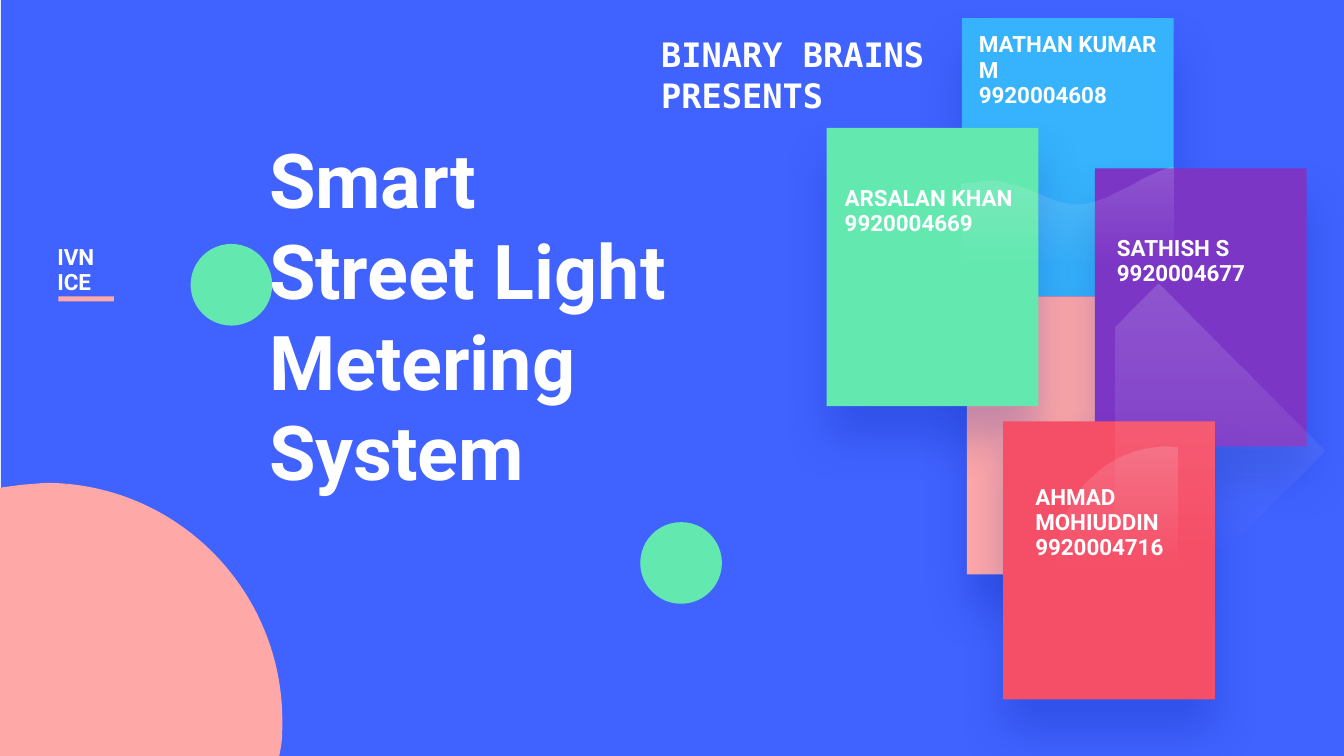
from lxml.etree import SubElement as Sub
from pptx import Presentation
from pptx.dml.color import RGBColor as RGB
from pptx.enum.shapes import MSO_SHAPE as Kind
from pptx.enum.text import MSO_AUTO_SIZE as Auto
from pptx.oxml.ns import qn
from pptx.util import Inches, Pt

BLUE = RGB(0x40, 0x62, 0xFF)
PINK = RGB(0xFF, 0xA8, 0xA8)
GREEN = RGB(0x63, 0xE8, 0xB0)
SKY = RGB(0x36, 0xB3, 0xFC)
PURPLE = RGB(0x7B, 0x36, 0xC6)
RED = RGB(0xF5, 0x4E, 0x67)
WHITE = RGB(0xFF, 0xFF, 0xFF)
PALE = RGB(0xF5, 0xF7, 0xFF)
SHADE = RGB(0x00, 0x1C, 0xA0)

# Content: all lengths in columns and rows of a tenth of an inch
COLS, ROWS = 133.3, 75
TITLE = "Smart Street Light Metering System"
TEAM = "BINARY BRAINS PRESENTS"
LABELS = [  # text, left, top, width, height
    ("IVN\nICE", 4.7, 23.8, 17.1, 6.1),
    ("SATHISH S\n9920004677", 109.8, 22.9, 19.7, 6.1),
    ("AHMAD MOHIUDDIN\n9920004716", 101.7, 47.6, 19.7, 8.6),
    ("MATHAN KUMAR M\n9920004608", 96.1, 2.7, 19.7, 8.6),
    ("ARSALAN KHAN\n9920004669", 82.8, 17.9, 19.7, 6.1),
]
CARD = (21, 27.6)
CARDS = [  # left, top, colour
    (95.4, 1.8, SKY),
    (95.9, 29.4, PINK),
    (82, 12.7, GREEN),
    (108.6, 16.7, PURPLE),
    (99.5, 41.8, RED),
]
DISC = 8.1
DISCS = [(18.9, 24.2), (63.5, 51.8)]

# Outlines: a pair is a corner, six numbers are a curve
HILL = [(4.5, 47.9), (17.5, 47.9, 28, 58.5, 28, 71.5),
        (28, 72.3, 28, 73.1, 27.9, 73.9), (27.7, 75), (-0.1, 75),
        (-0.1, 48.4), (2.1, 48.1)]
WAVE = [(116.4, 16.6), (116.4, 26.5), (95.4, 26.5), (95.4, 18.2),
        (96.4, 18.1), (97, 18, 97.5, 18, 98, 17.9),
        (102.1, 17.9, 104.2, 20.5, 107.3, 20.2),
        (110.2, 20, 113.8, 17, 116.1, 16.6)]
ARC = [(115.8, 44.3), (116.8, 44.4), (116.8, 57), (105.1, 57), (105, 56.3),
       (104.9, 56, 104.9, 55.6, 104.9, 55.2),
       (104.9, 49.2, 109.8, 44.3, 115.8, 44.3)]
PEAK = [(114.8, 28.2), (115, 28.2), (131.4, 44.7), (120.3, 55.8),
        (110.6, 55.8), (110.6, 32.4)]


def grid(*nums):
    return [Inches(n / 10) for n in nums]


deck = Presentation()
deck.slide_width, deck.slide_height = grid(COLS, ROWS)
slide = deck.slides.add_slide(deck.slide_layouts[6])
shapes = slide.shapes


def plain(shape, color=None):
    shape.shadow.inherit = False
    shape.line.fill.background()
    if color is not None:
        shape.fill.solid()
        shape.fill.fore_color.rgb = color
    return shape


def block(kind, box, color):
    return plain(shapes.add_shape(kind, *grid(*box)), color)


def write(text, box, size=16, font="Roboto", lead=None):
    frame = shapes.add_textbox(*grid(*box)).text_frame
    frame.word_wrap = True
    frame.auto_size = Auto.SHAPE_TO_FIT_TEXT
    frame.text = text
    for para in frame.paragraphs:
        if lead:
            para.line_spacing = Pt(lead)
        face = para.runs[0].font
        face.name, face.size, face.bold = font, Pt(size), True
        face.color.rgb = WHITE


def outline(route, color=None):
    dots = [grid(*part[i:i + 2]) for part in route
            for i in range(0, len(part), 2)]
    pen = shapes.build_freeform(*dots[0])
    pen.add_line_segments(dots[1:], close=True)
    shape = plain(pen.convert_to_shape(), color)
    # Join the three lines of each curve into one Bezier
    lines = iter(list(shape._element.spPr.iter(qn("a:lnTo"))))
    for part in route[1:]:
        bend = next(lines)
        if len(part) == 6:
            bend.tag = qn("a:cubicBezTo")
            for extra in (next(lines), next(lines)):
                bend.append(extra[0])
                extra.getparent().remove(extra)
    return shape


def sheen(route):
    """Pale glaze that fades out downwards."""
    shape = outline(route)
    shape.fill.gradient()
    shape.fill.gradient_angle = 270
    for stop, place, color in zip(shape.fill.gradient_stops, (0, 1),
                                  (PALE, WHITE)):
        stop.position = place
        stop.color.rgb = color
    tints = list(shape._element.spPr.iter(qn("a:srgbClr")))
    for tint, alpha in zip(tints, (17000, 0)):
        Sub(tint, qn("a:alpha"), val=str(alpha))


def card(left, top, color):
    shape = block(Kind.RECTANGLE, (left, top, *CARD), color)
    fx = shape._element.spPr.find(qn("a:effectLst"))
    cast = Sub(fx, qn("a:outerShdw"), blurRad=str(Pt(34)), dist=str(Pt(23)),
               dir="5400000", algn="t", rotWithShape="0")
    tint = Sub(cast, qn("a:srgbClr"), val=str(SHADE))
    Sub(tint, qn("a:alpha"), val="24000")


# Backdrop and title
back = block(Kind.ROUNDED_RECTANGLE, (0.1, 0, COLS, 79.5), BLUE)
back.adjustments[0] = 0
write(TITLE, (25.7, 12.7, 43.6, 55.5), size=54)

# Round shapes and the underline
outline(HILL, PINK)
for spot in DISCS:
    block(Kind.OVAL, (*spot, DISC, DISC), GREEN)
block(Kind.RECTANGLE, (5.8, 29.4, 5.5, 0.5), PINK)

# Member cards with their glaze
for item in CARDS:
    card(*item)
for route in (WAVE, ARC, PEAK):
    sheen(route)

# Names and team
for text, *box in LABELS:
    write(text, box, lead=18)
write(TEAM, (64.6, 2.9, 28.3, 9.1), size=24, font="DejaVu Sans Mono")

deck.save("out.pptx")
